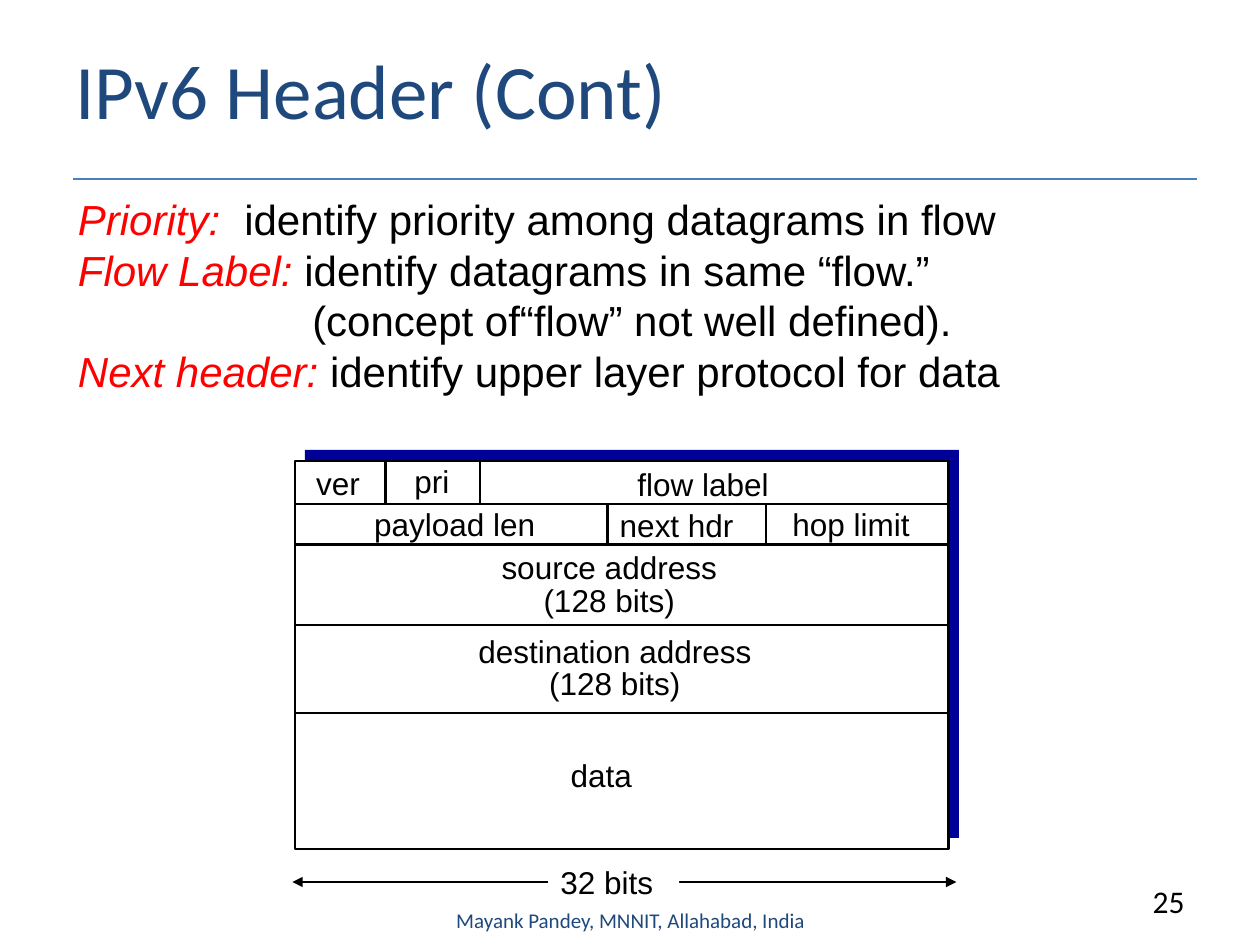
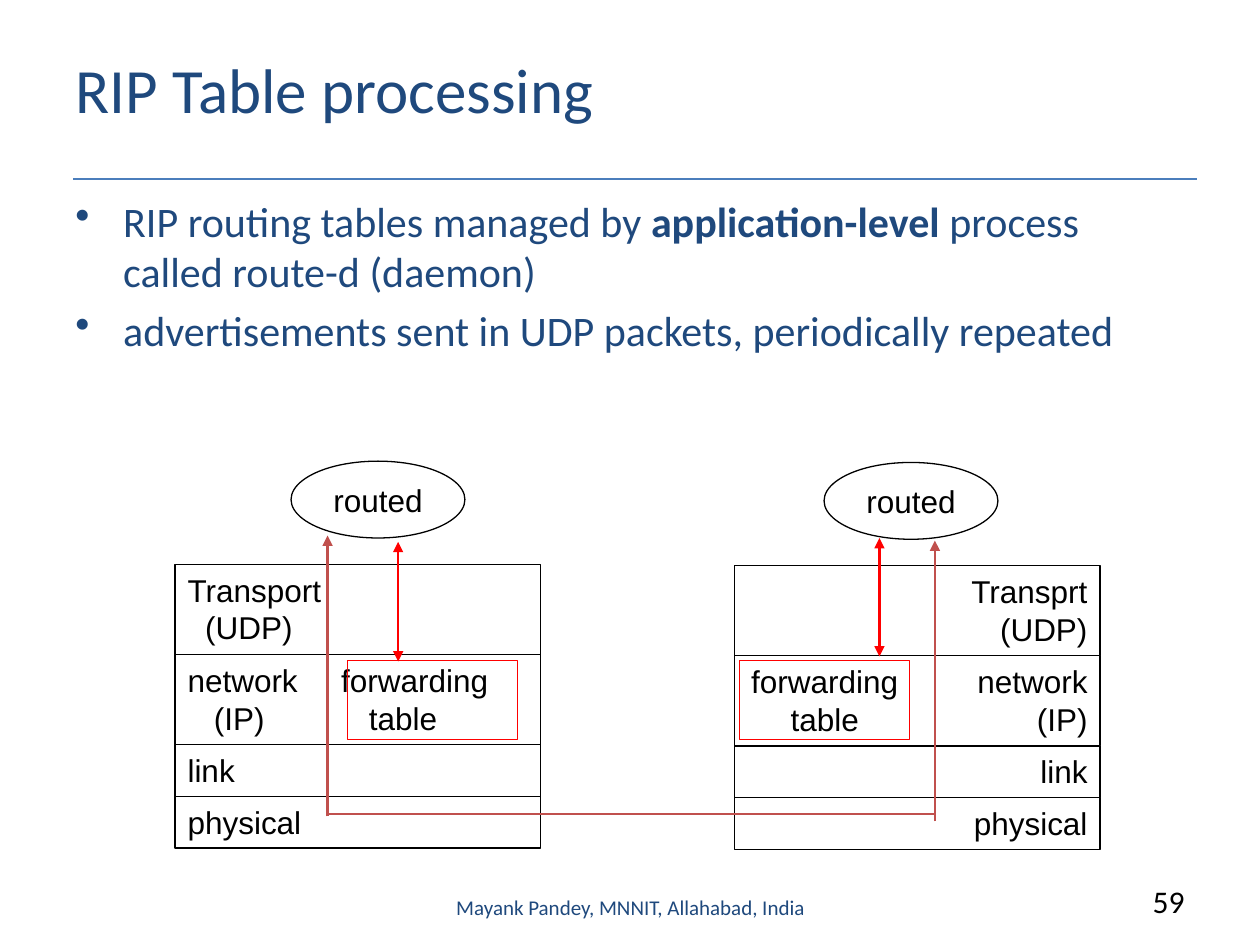
from dataclasses import dataclass
from itertools import accumulate
from typing import NamedTuple

from pptx import Presentation
from pptx.dml.color import RGBColor
from pptx.enum.shapes import MSO_CONNECTOR, MSO_SHAPE
from pptx.enum.text import MSO_ANCHOR, MSO_AUTO_SIZE, PP_ALIGN
from pptx.oxml.ns import qn
from pptx.oxml.xmlchemy import OxmlElement
from pptx.util import Inches, Pt

# The slide is a grid of 100 columns by 75 rows with square cells.
COLS, ROWS = 100, 75
CELL = Inches(0.1)

BLACK = RGBColor(0x00, 0x00, 0x00)
WHITE = RGBColor(0xFF, 0xFF, 0xFF)
RED = RGBColor(0xFF, 0x00, 0x00)
BRICK = RGBColor(0xC0, 0x50, 0x4D)
NAVY = RGBColor(0x1F, 0x49, 0x7D)
RULE_BLUE = RGBColor(0x4B, 0x7E, 0xBC)
SHADOW_BLUE = RGBColor(0x00, 0x00, 0x99)

FOOTER = "Mayank Pandey, MNNIT, Allahabad, India"
TOP, MIDDLE = MSO_ANCHOR.TOP, MSO_ANCHOR.MIDDLE
CENTER, RIGHT = PP_ALIGN.CENTER, PP_ALIGN.RIGHT
GROW = MSO_AUTO_SIZE.SHAPE_TO_FIT_TEXT


class Box(NamedTuple):
    x: float
    y: float
    w: float
    h: float


class Seg(NamedTuple):
    x1: float
    y1: float
    x2: float
    y2: float


class Run(NamedTuple):
    text: str
    color: RGBColor = BLACK
    bold: bool = False
    italic: bool = False


@dataclass(frozen=True)
class Para:
    runs: tuple[Run, ...]
    tabs: tuple[float, ...] = ()
    bullet: bool = False


@dataclass(frozen=True)
class Style:
    size: float = 18
    font: str = "Arial"
    align: PP_ALIGN = PP_ALIGN.LEFT
    anchor: MSO_ANCHOR = TOP
    wrap: bool = False
    auto_size: MSO_AUTO_SIZE = MSO_AUTO_SIZE.NONE
    line_spacing: float | None = None
    gap: float = 0


LABEL = Style(auto_size=GROW)
ADDRESS = Style(align=CENTER, line_spacing=0.85, auto_size=GROW)
CENTERED = Style(align=CENTER, anchor=MIDDLE)


def grid(*cells: float) -> list[int]:
    return [round(c * CELL) for c in cells]


def put(obj, **values) -> None:
    for name, value in values.items():
        setattr(obj, name, value)


def plain(*lines: str, color: RGBColor = BLACK) -> list[Para]:
    return [Para((Run(line, color),)) for line in lines]


def mark(p, para: Para) -> None:
    """Add the bullet or the tab stops of a paragraph."""
    pPr = p._p.get_or_add_pPr()
    if para.bullet:
        indent = Inches(0.38)
        pPr.set("marL", str(indent))
        pPr.set("indent", str(-indent))
        bu = OxmlElement("a:buChar")
        bu.set("char", "•")
        pPr.append(bu)
    if para.tabs:
        stops = OxmlElement("a:tabLst")
        for pos in grid(*para.tabs):
            tab = OxmlElement("a:tab")
            tab.set("pos", str(pos))
            tab.set("algn", "l")
            stops.append(tab)
        pPr.append(stops)


def write(shape, paras: list[Para], style: Style) -> None:
    tf = shape.text_frame
    put(tf, word_wrap=style.wrap, auto_size=style.auto_size,
        vertical_anchor=style.anchor)
    for i, para in enumerate(paras):
        p = tf.add_paragraph() if i else tf.paragraphs[0]
        mark(p, para)
        put(p, alignment=style.align, line_spacing=style.line_spacing,
            space_before=Pt(style.gap if i else 0))
        for run in para.runs:
            r = p.add_run()
            r.text = run.text
            put(r.font, size=Pt(style.size), name=style.font,
                bold=run.bold, italic=run.italic)
            r.font.color.rgb = run.color


def text(s, box: Box, paras: list[Para], style: Style = LABEL):
    sp = s.shapes.add_textbox(*grid(*box))
    write(sp, paras, style)
    return sp


def outline(s, box: Box, fill: RGBColor | None = None,
            line: RGBColor | None = BLACK, width: float = 0.75,
            kind: MSO_SHAPE = MSO_SHAPE.RECTANGLE):
    sp = s.shapes.add_shape(kind, *grid(*box))
    sp.shadow.inherit = False
    if fill is None:
        sp.fill.background()
    else:
        sp.fill.solid()
        sp.fill.fore_color.rgb = fill
    if line is None:
        sp.line.fill.background()
    else:
        sp.line.color.rgb = line
        sp.line.width = Pt(width)
    return sp


def connect(s, seg: Seg, color: RGBColor = BLACK, width: float = 1.5,
            ends: tuple[str, ...] = ()) -> None:
    """Draw a line; ends names the ends that get an arrowhead."""
    cn = s.shapes.add_connector(MSO_CONNECTOR.STRAIGHT, *grid(*seg))
    cn.line.color.rgb = color
    cn.line.width = Pt(width)
    spPr = cn._element.spPr
    for end in ends:
        arrow = OxmlElement(f"a:{end}")
        arrow.set("type", "triangle")
        spPr.find(qn("a:ln")).append(arrow)
    spPr.append(OxmlElement("a:effectLst"))


ONE_WAY = ("tailEnd",)
BOTH_WAYS = ("headEnd", "tailEnd")


def base_slide(prs, title: str, size: float, number: int, footer_y: float):
    """Add a slide with its title, rule, page number and footer."""
    s = prs.slides.add_slide(prs.slide_layouts[5])
    left, top, width, height = grid(5, 0.8, 90, 12.5)
    put(s.shapes.title, left=left, top=top, width=width, height=height)
    write(s.shapes.title, plain(title, color=NAVY),
          Style(size, "Calibri", anchor=MIDDLE, wrap=True))
    connect(s, Seg(5.8, 14.2, 95, 14.2), RULE_BLUE, 0.75)
    text(s, Box(87.5, 69.5, 7.5, 4), plain(str(number)),
         Style(font="Calibri", align=RIGHT, wrap=True))
    text(s, Box(34.2, footer_y, 31.7, 4), plain(FOOTER, color=NAVY),
         Style(12, "Calibri", CENTER, MIDDLE, wrap=True))
    return s


def term(name: str, meaning: str, tabs: tuple[float, ...] = ()) -> Para:
    return Para((Run(name, RED, italic=True), Run(meaning)), tabs)


def header_slide(prs) -> None:
    s = base_slide(prs, "IPv6 Header (Cont)", 44, 25, 71)
    text(s, Box(5.2, 14.9, 83.5, 17), [
        term("Priority:", "\tidentify priority among datagrams in flow", (13.2,)),
        term("Flow Label:", " identify datagrams in same “flow.”"),
        Para((Run("\t(concept of“flow” not well defined)."),), (18.6,)),
        term("Next header:", " identify upper layer protocol for data"),
    ], Style(24, auto_size=GROW))

    x, y, w, h = packet = Box(23.4, 36.6, 51.9, 30.8)
    outline(s, Box(x + 0.8, y - 0.9, w, h), SHADOW_BLUE, None)
    outline(s, packet, WHITE, width=1.5)
    row_ends = (40, 43.2, 49.6, 56.6)
    for row_y in row_ends:
        connect(s, Seg(x, row_y, x + w, row_y))
    for row_top, row_end, columns in ((y, row_ends[0], (30.6, 38.1)),
                                      (row_ends[0], row_ends[1], (48.2, 60.8))):
        for col_x in columns:
            connect(s, Seg(col_x, row_top, col_x, row_end))

    fields = {
        "ver": Box(24.1, 36.3, 5.8, 4),
        "pri": Box(31.9, 36.2, 5.2, 4),
        "flow label": Box(49.6, 36.4, 13.2, 4),
        "payload len": Box(28.7, 39.6, 14.8, 4),
        "next hdr": Box(48.2, 39.7, 12.2, 4),
        "hop limit": Box(61.9, 39.6, 12, 4),
        "data": Box(44.3, 59.5, 7.2, 4),
    }
    for name, box in fields.items():
        text(s, box, plain(name))
    for name, box in (("source address", Box(38.5, 43.5, 19.7, 6.1)),
                      ("destination address", Box(36.3, 50.1, 25, 6.1))):
        text(s, box, plain(name, "(128 bits)"), ADDRESS)

    connect(s, Seg(23.2, 70, 75.9, 70), width=0.75, ends=BOTH_WAYS)
    write(outline(s, Box(43.5, 68, 10.4, 4), WHITE, None), plain("32 bits"), LABEL)


@dataclass(frozen=True)
class Host:
    """A protocol stack with its routing process and arrows."""
    x: float
    y: float
    align: PP_ALIGN
    layers: tuple[list[Para], ...]
    process_x: float
    table_x: float
    table_label: list[Para]
    table_arrow: Seg
    packet_arrow: Seg


HOSTS = (
    Host(13.9, 44.8, PP_ALIGN.LEFT, (
        [*plain("Transport"), Para((Run("\t(UDP)"),), (1.4,))],
        [Para((Run("network\tforwarding"),), (12.2,)),
         Para((Run("\t(IP)\ttable"),), (2.1, 14.4))],
        plain("link"), plain("physical")),
        23.1, 27.6, [], Seg(31.6, 43, 31.6, 52.5), Seg(26, 64.8, 26, 42.5)),
    Host(58.3, 44.9, RIGHT, (
        plain("Transprt", "(UDP)"), plain("network", "(IP)"),
        plain("link"), plain("physical")),
        65.4, 58.7, plain("forwarding", "table"),
        Seg(69.8, 42.7, 69.8, 52.1), Seg(74.2, 65.2, 74.2, 42.9)),
)
LAYER_HEIGHTS = (7.15, 7.15, 4.1, 4.1)


def draw_host(s, host: Host) -> None:
    tops = accumulate(LAYER_HEIGHTS, initial=host.y)
    for paras, top, height in zip(host.layers, tops, LAYER_HEIGHTS):
        write(outline(s, Box(host.x, top, 29, height)), paras,
              Style(align=host.align, wrap=True, auto_size=GROW))
    process = outline(s, Box(host.process_x, host.y - 8.2, 13.8, 6.1),
                      kind=MSO_SHAPE.OVAL)
    write(process, plain("routed"), CENTERED)
    table = outline(s, Box(host.table_x, 52.4, 13.5, 6.3), line=RED)
    if host.table_label:
        write(table, host.table_label, CENTERED)
    connect(s, host.packet_arrow, BRICK, ends=ONE_WAY)
    connect(s, host.table_arrow, RED, ends=BOTH_WAYS)


def rip_slide(prs) -> None:
    s = base_slide(prs, "RIP Table processing", 36, 59, 70)
    text(s, Box(5, 15, 90, 52), [
        Para((Run("RIP routing tables managed by ", NAVY),
              Run("application-level", NAVY, bold=True),
              Run(" process called route-d (daemon)", NAVY)), bullet=True),
        Para((Run("advertisements sent in UDP packets, periodically repeated",
                  NAVY),), bullet=True),
    ], Style(24, "Calibri", wrap=True, gap=4.8))
    for host in HOSTS:
        draw_host(s, host)
    sender, receiver = (host.packet_arrow.x1 for host in HOSTS)
    connect(s, Seg(sender, 64.6, receiver, 64.6), BRICK)


def main() -> None:
    prs = Presentation()
    prs.slide_width, prs.slide_height = grid(COLS, ROWS)
    header_slide(prs)
    rip_slide(prs)
    prs.save("out.pptx")


if __name__ == "__main__":
    main()
